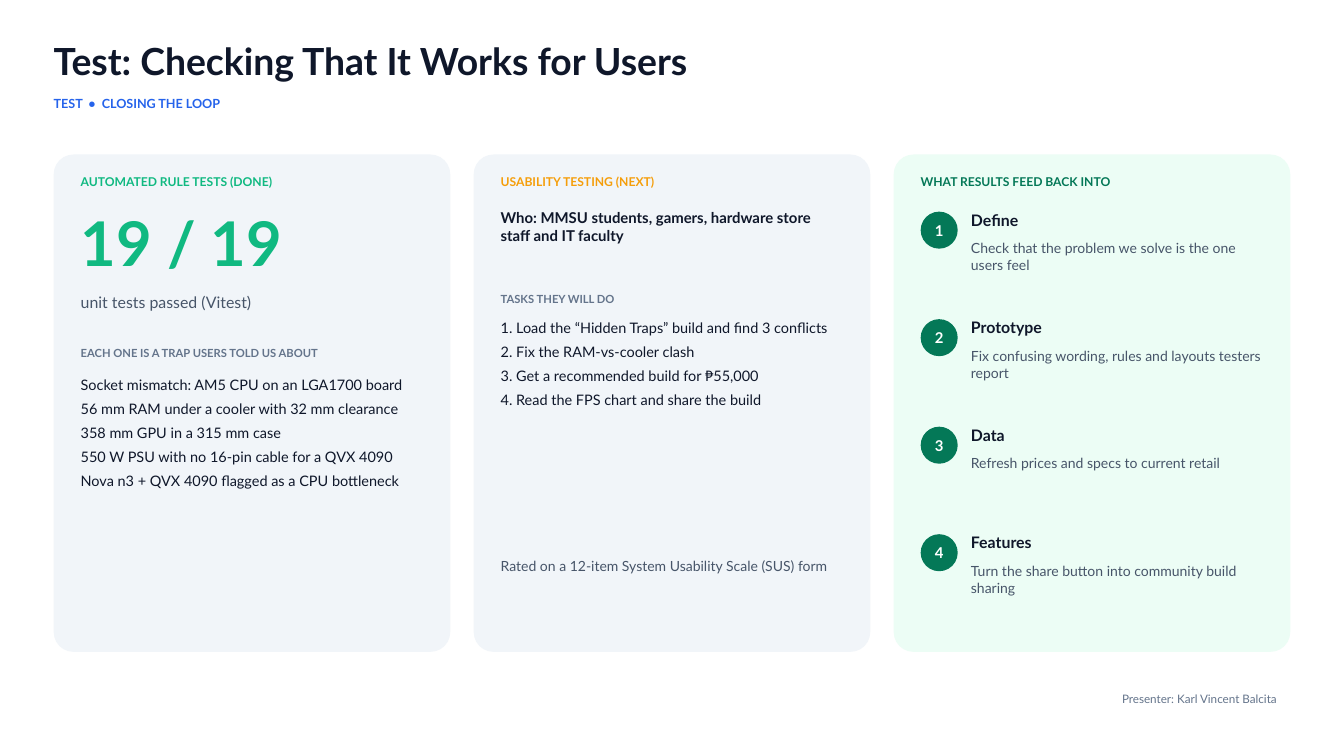
from pptx import Presentation
from pptx.dml.color import RGBColor
from pptx.enum.shapes import MSO_SHAPE
from pptx.enum.text import MSO_ANCHOR, MSO_AUTO_SIZE, PP_ALIGN
from pptx.util import Cm, Pt

INK = RGBColor(0x0F, 0x17, 0x2A)
BODY = RGBColor(0x47, 0x55, 0x69)
MUTED = RGBColor(0x64, 0x74, 0x8B)
BLUE = RGBColor(0x25, 0x63, 0xEB)
GREEN = RGBColor(0x10, 0xB9, 0x81)
AMBER = RGBColor(0xF5, 0x9E, 0x0B)
FOREST = RGBColor(0x04, 0x78, 0x57)
GREY_CARD = RGBColor(0xF1, 0xF5, 0xF9)
MINT_CARD = RGBColor(0xEC, 0xFD, 0xF5)
WHITE = RGBColor(0xFF, 0xFF, 0xFF)

# Layout in centimetres
MARGIN = 2.03
CARD_TOP, CARD_W, CARD_H, CARD_PITCH = 5.84, 14.99, 18.8, 15.875
PAD, INNER_W = 1.02, 12.95
STEP_TOP, STEP_PITCH, BADGE = 8.0, 4.064, 1.4


class SlideBuilder:
    font = "Lato"

    def __init__(self, slide):
        self.s = slide

    def style(self, p, size, color, bold, align=PP_ALIGN.LEFT):
        p.alignment = align
        for r in p.runs:
            r.font.name = self.font
            r.font.size = Pt(size)
            r.font.bold = bold
            r.font.color.rgb = color

    def frame(self, sp):
        tf = sp.text_frame
        tf.word_wrap = True
        tf.margin_left = tf.margin_right = tf.margin_top = tf.margin_bottom = 0
        return tf

    def text(self, x, y, w, h, text, size, color, bold=False,
             align=PP_ALIGN.LEFT, gap=0):
        """Text box; each line of the text is a paragraph."""
        sp = self.s.shapes.add_textbox(Cm(x), Cm(y), Cm(w), Cm(h))
        tf = self.frame(sp)
        tf.auto_size = MSO_AUTO_SIZE.SHAPE_TO_FIT_TEXT
        tf.text = text
        for i, p in enumerate(tf.paragraphs):
            self.style(p, size, color, bold, align)
            if i and gap:
                p.space_before = Pt(gap)

    def shape(self, kind, x, y, w, h, fill):
        sp = self.s.shapes.add_shape(kind, Cm(x), Cm(y), Cm(w), Cm(h))
        sp.shadow.inherit = False
        sp.fill.solid()
        sp.fill.fore_color.rgb = fill
        sp.line.fill.background()
        return sp

    def card(self, column, fill, heading, color):
        """Rounded card with a heading; returns the left edge of its content."""
        x = MARGIN + column * CARD_PITCH
        sp = self.shape(MSO_SHAPE.ROUNDED_RECTANGLE, x, CARD_TOP, CARD_W, CARD_H, fill)
        sp.adjustments[0] = 0.05
        self.text(x + PAD, 6.6, INNER_W, 0.89, heading, 13, color, True)
        return x + PAD

    def badge(self, x, y, label):
        sp = self.shape(MSO_SHAPE.OVAL, x, y, BADGE, BADGE, FOREST)
        tf = self.frame(sp)
        tf.vertical_anchor = MSO_ANCHOR.MIDDLE
        tf.text = label
        self.style(tf.paragraphs[0], 16, WHITE, True, PP_ALIGN.CENTER)

    def step(self, x, y, number, title, detail):
        self.badge(x, y, str(number))
        self.text(x + 1.9, y - 0.05, 11.18, 1.02, title, 17, INK, True)
        self.text(x + 1.9, y + 1.07, 11.18, 2.54, detail, 15, BODY)


def main():
    prs = Presentation()
    prs.slide_width, prs.slide_height = Cm(50.8), Cm(28.575)
    b = SlideBuilder(prs.slides.add_slide(prs.slide_layouts[6]))

    # Title
    b.text(MARGIN, 1.45, 46.23, 2.03, "Test: Checking That It Works for Users", 40, INK, True)
    b.text(MARGIN, 3.63, 25.4, 0.76, "TEST  •  CLOSING THE LOOP", 13.5, BLUE, True)

    # Automated tests
    x = b.card(0, GREY_CARD, "AUTOMATED RULE TESTS (DONE)", GREEN)
    b.text(x, 7.75, INNER_W, 3.05, "19 / 19", 66, GREEN, True)
    b.text(x, 11.05, INNER_W, 1.27, "unit tests passed (Vitest)", 17, BODY)
    b.text(x, 13.08, INNER_W, 0.89, "EACH ONE IS A TRAP USERS TOLD US ABOUT", 12, MUTED, True)
    traps = [
        "Socket mismatch: AM5 CPU on an LGA1700 board",
        "56 mm RAM under a cooler with 32 mm clearance",
        "358 mm GPU in a 315 mm case",
        "550 W PSU with no 16-pin cable for a QVX 4090",
        "Nova n3 + QVX 4090 flagged as a CPU bottleneck",
    ]
    b.text(x, 14.22, INNER_W, 10.16, "\n".join(traps), 15.5, INK, gap=7)

    # Usability testing
    x = b.card(1, GREY_CARD, "USABILITY TESTING (NEXT)", AMBER)
    b.text(x, 7.87, INNER_W, 2.54,
           "Who: MMSU students, gamers, hardware store staff and IT faculty", 16, INK, True)
    b.text(x, 11.05, INNER_W, 0.89, "TASKS THEY WILL DO", 12, MUTED, True)
    tasks = [
        "1. Load the “Hidden Traps” build and find 3 conflicts",
        "2. Fix the RAM-vs-cooler clash",
        "3. Get a recommended build for ₱55,000",
        "4. Read the FPS chart and share the build",
    ]
    b.text(x, 12.07, INNER_W, 8.64, "\n".join(tasks), 15.5, INK, gap=7)
    b.text(x, 21.08, INNER_W, 2.79,
           "Rated on a 12-item System Usability Scale (SUS) form", 15, BODY)

    # Feedback steps
    x = b.card(2, MINT_CARD, "WHAT RESULTS FEED BACK INTO", FOREST)
    steps = [
        ("Define", "Check that the problem we solve is the one users feel"),
        ("Prototype", "Fix confusing wording, rules and layouts testers report"),
        ("Data", "Refresh prices and specs to current retail"),
        ("Features", "Turn the share button into community build sharing"),
    ]
    for i, (title, detail) in enumerate(steps):
        b.step(x, STEP_TOP + i * STEP_PITCH, i + 1, title, detail)

    # Footer
    b.text(26.67, 26.16, 21.59, 1.02, "Presenter: Karl Vincent Balcita", 12.5, MUTED,
           align=PP_ALIGN.RIGHT)

    prs.save("out.pptx")


if __name__ == "__main__":
    main()
